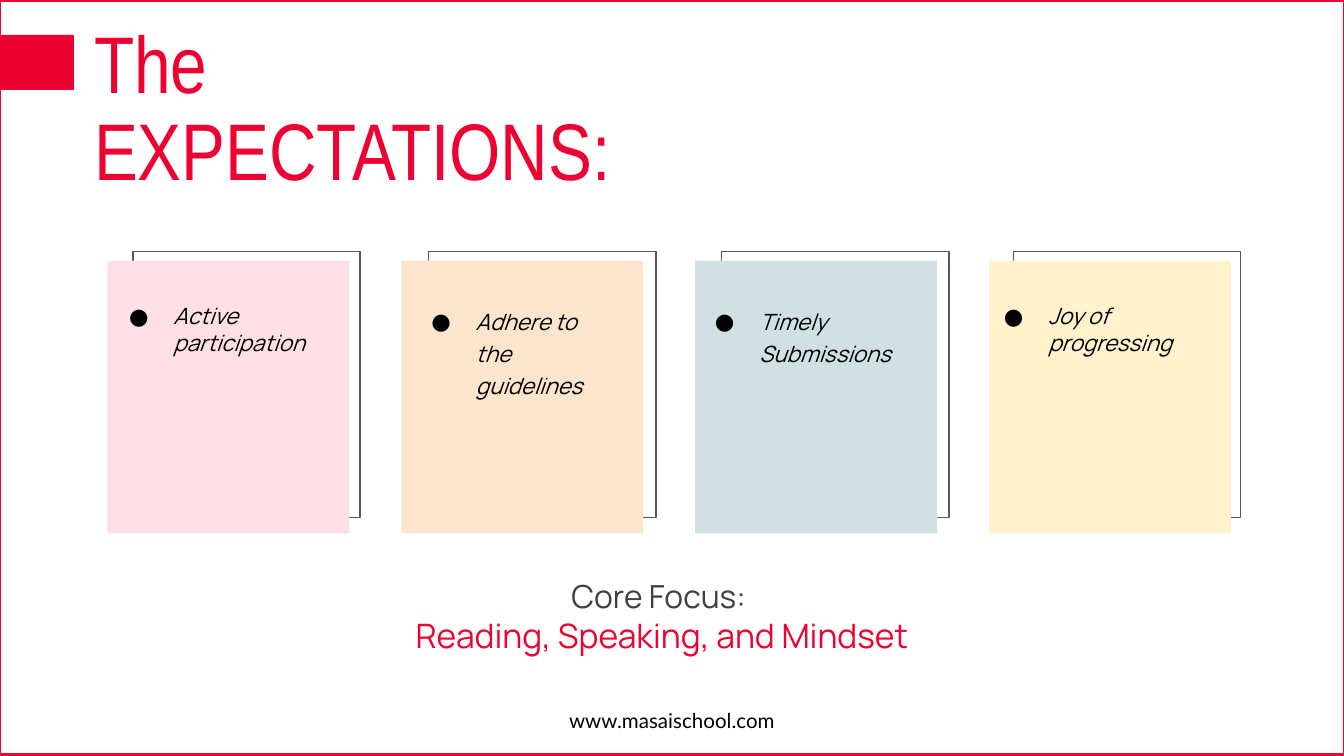
from lxml import etree
from pptx import Presentation
from pptx.dml.color import RGBColor
from pptx.enum.shapes import MSO_SHAPE
from pptx.enum.text import MSO_ANCHOR, MSO_AUTO_SIZE, PP_ALIGN
from pptx.oxml.ns import qn
from pptx.util import Inches, Pt

RECT = MSO_SHAPE.RECTANGLE
TOP, MIDDLE, BOTTOM = MSO_ANCHOR.TOP, MSO_ANCHOR.MIDDLE, MSO_ANCHOR.BOTTOM
CENTER = PP_ALIGN.CENTER
FIT_SHAPE = MSO_AUTO_SIZE.SHAPE_TO_FIT_TEXT

RED = RGBColor(0xED, 0x03, 0x31)
WHITE = RGBColor(0xFF, 0xFF, 0xFF)
BLACK = RGBColor(0x00, 0x00, 0x00)
GRAY = RGBColor(0x59, 0x59, 0x59)
CHARCOAL = RGBColor(0x3F, 0x40, 0x41)
PINK = RGBColor(0xFE, 0xDF, 0xE5)
PEACH = RGBColor(0xFC, 0xE5, 0xCD)
BLUE = RGBColor(0xD0, 0xE0, 0xE3)
YELLOW = RGBColor(0xFF, 0xF2, 0xCC)

SLIDE_WIDTH = Inches(10)
SLIDE_HEIGHT = SLIDE_WIDTH * 9 // 16
CARD_LEFT, CARD_RIGHT = 0.8, 7.36
CARDS = [
    ("Active participation", PINK, 0.99, 0.72, 1.96, 1.0),
    ("Adhere to the guidelines", PEACH, 3.19, 2.97, 1.8, 1.2),
    ("Timely Submissions", BLUE, 5.37, 5.08, 1.8, 1.2),
    ("Joy of progressing", YELLOW, 7.54, 7.23, 1.96, 1.0),
]
CARD_STEP = (CARD_RIGHT - CARD_LEFT) / (len(CARDS) - 1)


def add_rect(s, left, top, width, height, fill=None, line=None, weight=0.75):
    sp = s.shapes.add_shape(RECT, Inches(left), Inches(top), Inches(width), Inches(height))
    sp.shadow.inherit = False
    if fill is None:
        sp.fill.background()
    else:
        sp.fill.solid()
        sp.fill.fore_color.rgb = fill
    if line is None:
        sp.line.fill.background()
    else:
        sp.line.color.rgb = line
        sp.line.width = Pt(weight)


def add_text_box(s, left, top, width, height, anchor=TOP):
    sp = s.shapes.add_textbox(Inches(left), Inches(top), Inches(width), Inches(height))
    tf = sp.text_frame
    tf.word_wrap = True
    tf.vertical_anchor = anchor
    tf.margin_left = tf.margin_right = Inches(0.07)
    tf.margin_top = tf.margin_bottom = Inches(0.04)
    return tf


def add_run(p, text, size, font, color, italic=False):
    r = p.add_run()
    r.text = text
    r.font.size = Pt(size)
    r.font.name = font
    r.font.color.rgb = color
    r.font.italic = italic


def add_bullet(p):
    pPr = p._p.get_or_add_pPr()
    pPr.set("marL", str(Inches(0.5)))
    pPr.set("indent", str(-Inches(0.33)))
    color = etree.SubElement(pPr, qn("a:buClr"))
    etree.SubElement(color, qn("a:srgbClr"), val=str(BLACK))
    etree.SubElement(pPr, qn("a:buFont"), typeface="Manrope")
    etree.SubElement(pPr, qn("a:buChar"), char="●")


def add_title(s):
    tf = add_text_box(s, 0.63, 0.78, 4.9, 0.73, BOTTOM)
    tf.auto_size = FIT_SHAPE
    p = tf.paragraphs[0]
    p.line_spacing = 0.9
    add_run(p, "The EXPECTATIONS:", 43, "Arial Narrow", RED)


def add_cards(s):
    for _, _, frame_left, _, _, _ in reversed(CARDS):
        add_rect(s, frame_left, 1.87, 1.69, 1.98, line=GRAY)
    for i, (_, color, _, _, _, _) in enumerate(CARDS):
        add_rect(s, CARD_LEFT + i * CARD_STEP, 1.94, 1.8, 2.03, fill=color)
    for text, _, _, left, width, spacing in CARDS:
        tf = add_text_box(s, left, 2.21, width, 0.55)
        tf.margin_right = Inches(0.2)
        p = tf.paragraphs[0]
        add_bullet(p)
        p.line_spacing = spacing
        add_run(p, text, 12, "Manrope", BLACK, italic=True)


def add_focus(s):
    tf = add_text_box(s, 0.62, 4.25, 8.61, 0.68)
    p = tf.paragraphs[0]
    p.alignment = CENTER
    add_run(p, "Core Focus: ", 17, "Manrope", CHARCOAL)
    p = tf.add_paragraph()
    p.alignment = CENTER
    add_run(p, "Reading, Speaking, and Mindset", 18, "Manrope", RED)


def add_footer(s):
    p = add_text_box(s, 3.31, 5.21, 3.38, 0.3, MIDDLE).paragraphs[0]
    p.alignment = CENTER
    add_run(p, "www.masaischool.com", 11, "Lato", BLACK)


def main():
    prs = Presentation()
    prs.slide_width, prs.slide_height = SLIDE_WIDTH, SLIDE_HEIGHT
    s = prs.slides.add_slide(prs.slide_layouts[6])
    add_rect(s, -0.01, 0, 10.02, 5.62, fill=WHITE, line=RED, weight=2.25)
    add_title(s)
    add_footer(s)
    add_cards(s)
    add_focus(s)
    add_rect(s, 0, 0.26, 0.55, 0.41, fill=RED)
    prs.save("out.pptx")


if __name__ == "__main__":
    main()
